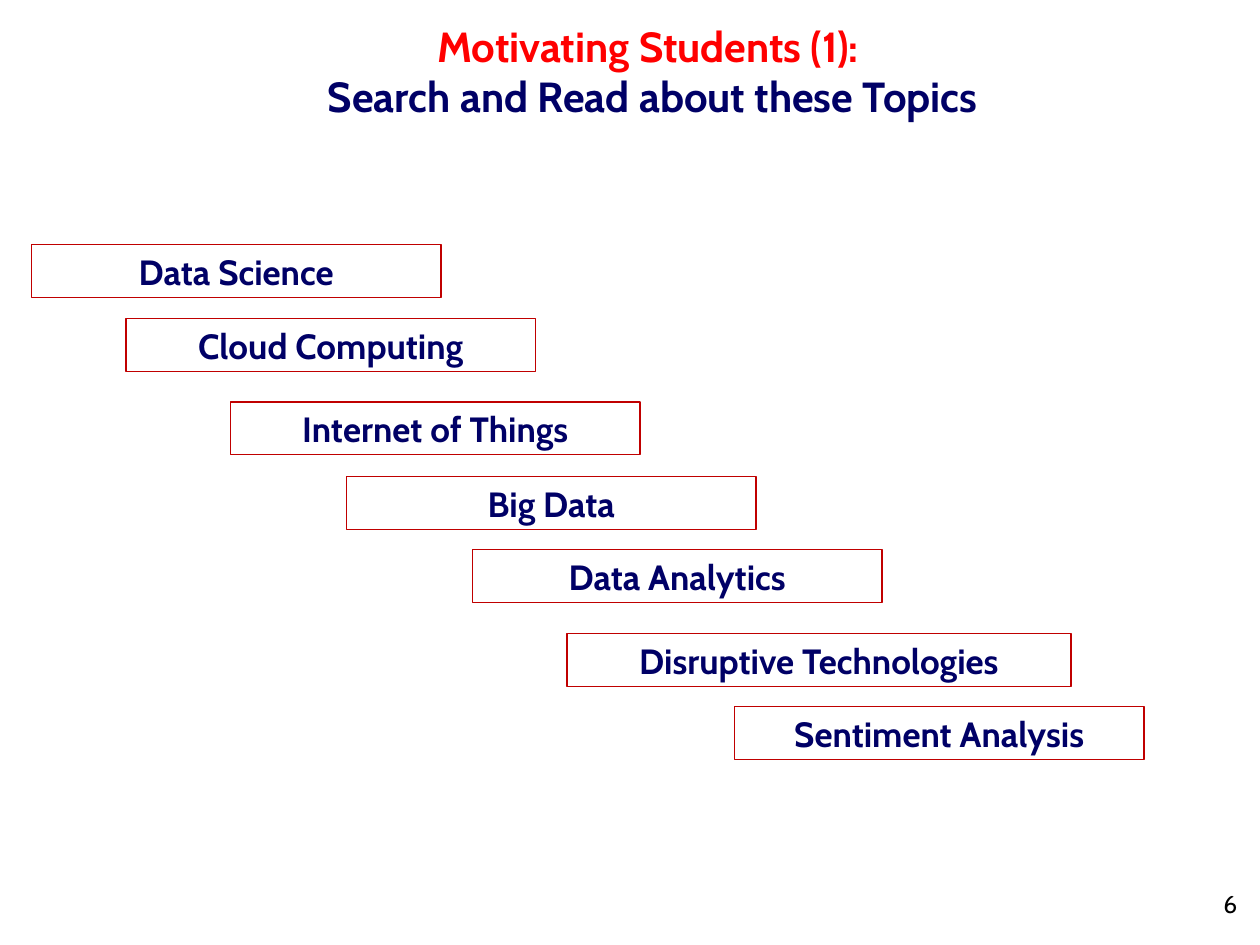
"""Build a slide with a staircase of topics for students to read about."""
from pptx import Presentation
from pptx.dml.color import RGBColor
from pptx.enum.shapes import MSO_SHAPE
from pptx.enum.text import MSO_ANCHOR, MSO_AUTO_SIZE, PP_ALIGN
from pptx.util import Inches, Pt

RECTANGLE = MSO_SHAPE.RECTANGLE
BOTTOM = MSO_ANCHOR.BOTTOM
NO_AUTOFIT = MSO_AUTO_SIZE.NONE
CENTER, RIGHT = PP_ALIGN.CENTER, PP_ALIGN.RIGHT
NAVY, RED, DARK_RED, BLACK = "000066", "FF0000", "C00000", "000000"


def color(value):
    return RGBColor.from_string(value)


def write(shape, text, size, colors, align=CENTER, bold=True):
    frame = shape.text_frame
    frame.text = text
    frame.word_wrap = True
    frame.auto_size = NO_AUTOFIT
    frame.vertical_anchor = BOTTOM
    frame.margin_left = frame.margin_right = Inches(0.09)
    frame.margin_top = frame.margin_bottom = Inches(0.04)
    for para, value in zip(frame.paragraphs, colors):
        para.alignment = align
        for span in para.runs:
            span.font.name = "Cabin"
            span.font.size = Pt(size)
            span.font.bold = bold
            span.font.color.rgb = color(value)


deck = Presentation()
deck.slide_width, deck.slide_height = Inches(10), Inches(7.5)
page = deck.slides.add_slide(deck.slide_layouts[5])

title = page.shapes.title
title.left, title.top = Inches(0.93), Inches(0.58)
title.width, title.height = Inches(8.5), Inches(0.42)
write(title, "Motivating Students (1): \nSearch and Read about these Topics", 24, [RED, NAVY])

number = page.shapes.add_textbox(Inches(7.83), Inches(6.83), Inches(2.08), Inches(0.5))
write(number, "6", 14, [BLACK], RIGHT, False)

topics = [
    ("Data Science", 0.25, 1.94, 3.25),
    ("Cloud Computing", 1, 2.53, 3.25),
    ("Internet of Things", 1.83, 3.19, 3.25),
    ("Big Data", 2.75, 3.78, 3.25),
    ("Data Analytics", 3.75, 4.36, 3.25),
    ("Disruptive Technologies", 4.5, 5.03, 4),
    ("Sentiment Analysis", 5.83, 5.61, 3.25),
]
for topic, left, top, width in topics:
    box = page.shapes.add_shape(RECTANGLE, Inches(left), Inches(top), Inches(width), Inches(0.42))
    box.shadow.inherit = False
    box.fill.background()
    box.line.color.rgb = color(DARK_RED)
    box.line.width = Pt(0.75)
    write(box, topic, 20, [NAVY])

deck.save("out.pptx")
